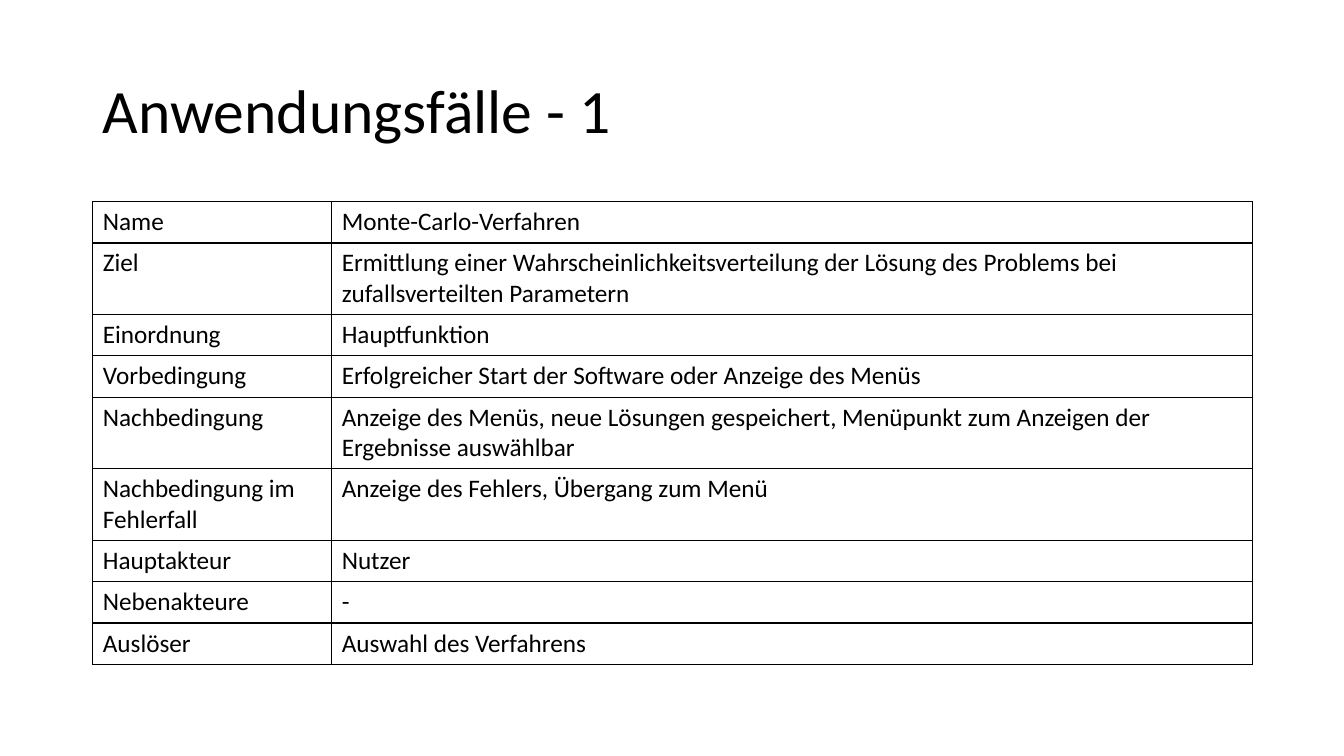
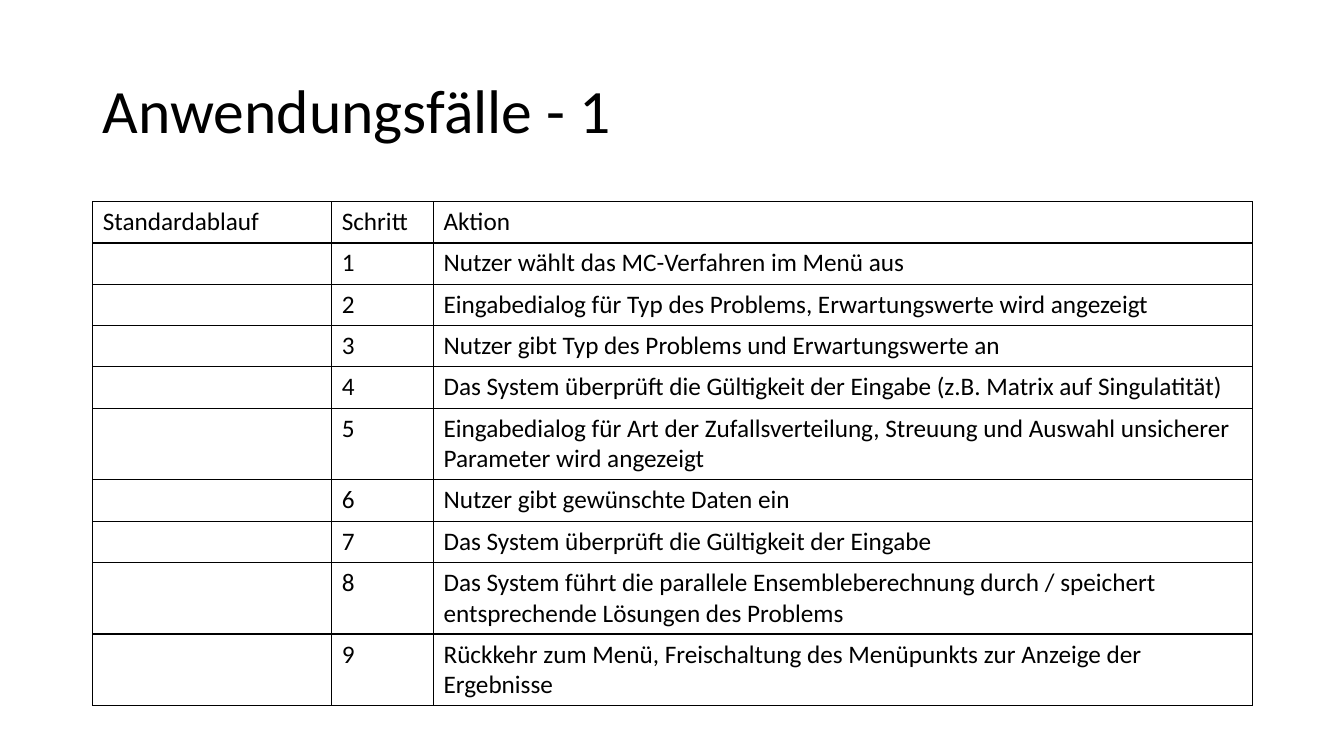
from lxml import etree
from pptx import Presentation
from pptx.dml.color import RGBColor
from pptx.enum.text import MSO_ANCHOR as Anchor, MSO_AUTO_SIZE as AutoSize, PP_ALIGN as Align
from pptx.oxml.ns import qn
from pptx.util import Inches, Pt

COLORS = {"text": "000000", "border": "000000", "background": "FFFFFF"}
FONT = "Calibri"
TITLE_ONLY = 5
LEFT, WIDTH = Inches(0.92), Inches(11.5)
TITLE_TOP, TITLE_HEIGHT = Inches(0.4), Inches(1.45)
TABLE_TOP, ROW_HEIGHT = Inches(2), Inches(0.41)
TITLE = "Anwendungsfälle - 1"

USE_CASE = [
    ("Name", "Monte-Carlo-Verfahren"),
    ("Ziel", "Ermittlung einer Wahrscheinlichkeitsverteilung der Lösung des Problems "
             "bei zufallsverteilten Parametern"),
    ("Einordnung", "Hauptfunktion"),
    ("Vorbedingung", "Erfolgreicher Start der Software oder Anzeige des Menüs"),
    ("Nachbedingung", "Anzeige des Menüs, neue Lösungen gespeichert, Menüpunkt zum "
                      "Anzeigen der Ergebnisse auswählbar"),
    ("Nachbedingung im Fehlerfall", "Anzeige des Fehlers, Übergang zum Menü"),
    ("Hauptakteur", "Nutzer"),
    ("Nebenakteure", "-"),
    ("Auslöser", "Auswahl des Verfahrens"),
]

ACTIONS = [
    "Nutzer wählt das MC-Verfahren im Menü aus",
    "Eingabedialog für Typ des Problems, Erwartungswerte wird angezeigt",
    "Nutzer gibt Typ des Problems und Erwartungswerte an",
    "Das System überprüft die Gültigkeit der Eingabe (z.B. Matrix auf Singulatität)",
    "Eingabedialog für Art der Zufallsverteilung, Streuung und Auswahl unsicherer "
    "Parameter wird angezeigt",
    "Nutzer gibt gewünschte Daten ein",
    "Das System überprüft die Gültigkeit der Eingabe",
    "Das System führt die parallele Ensembleberechnung durch / speichert "
    "entsprechende Lösungen des Problems",
    "Rückkehr zum Menü, Freischaltung des Menüpunkts zur Anzeige der Ergebnisse",
]


def write_text(frame, text, size=18, color="text", line_spacing=None):
    para = frame.paragraphs[0]
    para.alignment = Align.LEFT
    para.line_spacing = line_spacing
    para.font.size = Pt(size)
    if text:
        span = para.add_run()
        span.text = text
        span.font.name = FONT
        span.font.size = Pt(size)
        span.font.color.rgb = RGBColor.from_string(COLORS[color])


def add_titled_slide(deck, text):
    page = deck.slides.add_slide(deck.slide_layouts[TITLE_ONLY])
    fill = page.background.fill
    fill.solid()
    fill.fore_color.rgb = RGBColor.from_string(COLORS["background"])
    title = page.shapes.title
    title.left, title.top = LEFT, TITLE_TOP
    title.width, title.height = WIDTH, TITLE_HEIGHT
    frame = title.text_frame
    frame.word_wrap = True
    frame.auto_size = AutoSize.NONE
    frame.vertical_anchor = Anchor.MIDDLE
    write_text(frame, text, size=44, line_spacing=0.9)
    return page


def set_borders(cell, width=1):
    """Draw all four edges; call before the fill, which must follow them in the XML."""
    properties = cell._tc.get_or_add_tcPr()
    for edge in ("a:lnL", "a:lnR", "a:lnT", "a:lnB"):
        line = etree.SubElement(properties, qn(edge), w=str(Pt(width)))
        fill = etree.SubElement(line, qn("a:solidFill"))
        etree.SubElement(fill, qn("a:srgbClr"), val=COLORS["border"])


def add_grid(page, rows, column_widths):
    """Add a plain bordered table; column widths are in inches."""
    table = page.shapes.add_table(len(rows), len(column_widths), LEFT, TABLE_TOP,
                                  WIDTH, ROW_HEIGHT * len(rows)).table
    table.first_row = table.horz_banding = False
    for column, width in zip(table.columns, column_widths):
        column.width = Inches(width)
    for row, texts in zip(table.rows, rows):
        row.height = ROW_HEIGHT
        for cell, text in zip(row.cells, texts):
            set_borders(cell)
            cell.fill.background()
            write_text(cell.text_frame, text)


def main():
    deck = Presentation()
    deck.slide_width, deck.slide_height = Inches(13.33), Inches(7.5)
    add_grid(add_titled_slide(deck, TITLE), USE_CASE, (2.37, 9.13))
    steps = [("", str(number), action) for number, action in enumerate(ACTIONS, start=1)]
    add_grid(add_titled_slide(deck, TITLE),
             [("Standardablauf", "Schritt", "Aktion"), *steps], (2.37, 1.01, 8.12))
    deck.save("out.pptx")


if __name__ == "__main__":
    main()
